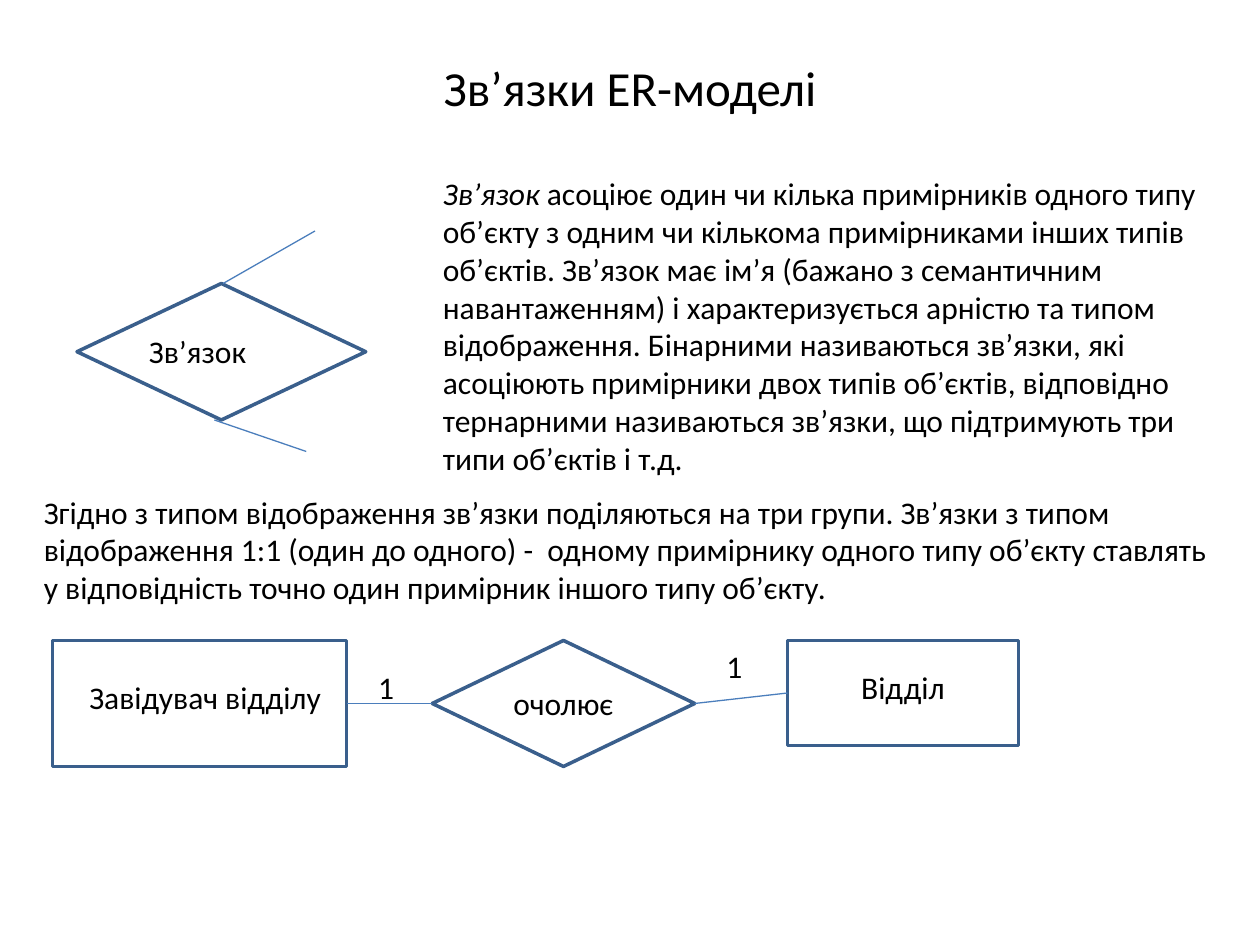
from pptx import Presentation
from pptx.dml.color import RGBColor
from pptx.enum.shapes import MSO_CONNECTOR, MSO_SHAPE
from pptx.enum.text import MSO_ANCHOR, PP_ALIGN
from pptx.oxml.ns import qn
from pptx.util import Pt
from lxml.etree import SubElement

BLACK = RGBColor(0x00, 0x00, 0x00)
OUTLINE = RGBColor(0x3A, 0x5F, 0x8C)
LINK = RGBColor(0x4B, 0x7E, 0xBC)

TITLE = "Зв’язки ЕR-моделі"
TERM = "Зв’язок "
DEFINITION = (
    "асоціює один чи кілька примірників одного типу об’єкту з одним чи "
    "кількома примірниками інших типів об’єктів. Зв’язок має ім’я (бажано з "
    "семантичним навантаженням) і характеризується арністю та типом "
    "відображення. Бінарними називаються зв’язки, які асоціюють примірники "
    "двох типів об’єктів, відповідно тернарними називаються зв’язки, що "
    "підтримують три типи об’єктів і т.д."
)
MAPPING = (
    "Згідно з типом відображення зв’язки поділяються на три групи. Зв’язки з "
    "типом відображення 1:1 (один до одного) -  одному примірнику одного типу "
    "об’єкту ставлять у відповідність точно один примірник іншого типу об’єкту."
)

# Connection sites of a rectangle or diamond
LEFT_SITE, RIGHT_SITE = 1, 3


def add_text(slide, box, text, *, lead="", size=18, align=PP_ALIGN.LEFT,
             anchor=MSO_ANCHOR.TOP):
    """Add one paragraph, with an optional italic lead-in."""
    frame = slide.shapes.add_textbox(*map(Pt, box)).text_frame
    frame.word_wrap = True
    frame.vertical_anchor = anchor
    paragraph = frame.paragraphs[0]
    paragraph.alignment = align
    for part, italic in ((lead, True), (text, False)):
        if not part:
            continue
        run = paragraph.add_run()
        run.text = part
        run.font.name = "Calibri"
        run.font.size = Pt(size)
        run.font.italic = italic
        run.font.color.rgb = BLACK


def add_outline(slide, kind, box):
    outline = slide.shapes.add_shape(kind, *map(Pt, box))
    outline.shadow.inherit = False
    outline.fill.background()
    outline.line.color.rgb = OUTLINE
    outline.line.width = Pt(2)
    return outline


def add_link(slide, start=(0, 0), end=(0, 0)):
    link = slide.shapes.add_connector(
        MSO_CONNECTOR.STRAIGHT, *map(Pt, (*start, *end)))
    link.line.color.rgb = LINK
    link.line.width = Pt(0.75)
    SubElement(link._element.spPr, qn("a:effectLst"))
    return link


def join(slide, source, target):
    link = add_link(slide)
    link.begin_connect(source, RIGHT_SITE)
    link.end_connect(target, LEFT_SITE)


def add_notation(slide):
    add_outline(slide, MSO_SHAPE.DIAMOND, (44, 162, 165, 78))
    add_text(slide, (78, 186, 84, 30), "Зв’язок")
    add_link(slide, (127.5, 162), (180, 132))
    add_link(slide, (122.5, 240), (175, 258))


def add_example(slide):
    # Entities and the relationship between them
    manager = add_outline(slide, MSO_SHAPE.RECTANGLE, (30, 366, 168, 72))
    department = add_outline(slide, MSO_SHAPE.RECTANGLE, (450, 366, 132, 60))
    heads = add_outline(
        slide, MSO_SHAPE.FLOWCHART_DECISION, (247, 366, 150, 72))
    join(slide, manager, heads)
    join(slide, heads, department)

    # Names
    add_text(slide, (44, 384, 150, 29), "Завідувач відділу")
    add_text(slide, (462, 378, 108, 29), "Відділ", align=PP_ALIGN.CENTER)
    add_text(slide, (283, 387.5, 78, 29), "очолює", align=PP_ALIGN.CENTER)

    # Cardinalities
    for left, top in ((209, 378), (408, 366)):
        add_text(slide, (left, top, 30, 29), "1")


def main():
    deck = Presentation()
    deck.slide_width, deck.slide_height = Pt(720), Pt(540)
    slide = deck.slides.add_slide(deck.slide_layouts[6])

    add_text(slide, (36, 21.6, 648, 56), TITLE, size=28,
             align=PP_ALIGN.CENTER, anchor=MSO_ANCHOR.MIDDLE)
    add_notation(slide)
    add_text(slide, (246, 96, 456, 181), DEFINITION, lead=TERM)
    add_text(slide, (18, 278, 684, 73), MAPPING)
    add_example(slide)

    deck.save("out.pptx")


main()
